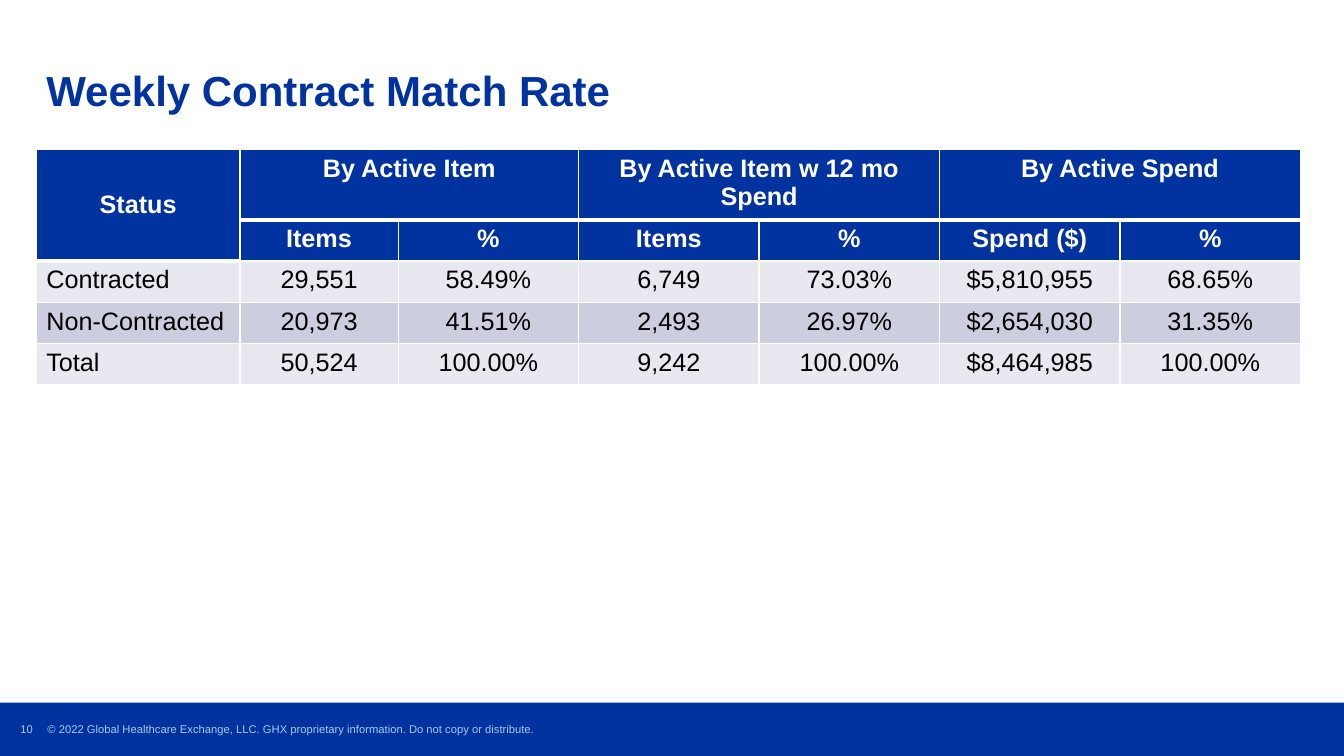
from lxml import etree
from pptx import Presentation
from pptx.dml.color import RGBColor
from pptx.enum.shapes import MSO_SHAPE
from pptx.enum.text import MSO_ANCHOR, PP_ALIGN
from pptx.oxml.ns import qn
from pptx.util import Pt

LEFT, CENTER = PP_ALIGN.LEFT, PP_ALIGN.CENTER
TOP, MIDDLE, BOTTOM = MSO_ANCHOR.TOP, MSO_ANCHOR.MIDDLE, MSO_ANCHOR.BOTTOM
RECT = MSO_SHAPE.RECTANGLE

PX = 9144  # 100 px to the inch
FONT = "Arial"
BLUE, PALE_BLUE, WHITE, BLACK = "0032A0", "ABCAE9", "FFFFFF", "000000"
BANDS = ["E7E8F0", "CCCEDF"]

COLUMN_WIDTHS = [202, 157] + [179] * 5
ROW_HEIGHT = 41
HEADER_ROWS = 2
ROWS = [
    ["Status", "By Active Item", "", "By Active Item w 12 mo Spend", "", "By Active Spend", ""],
    ["", "Items", "%", "Items", "%", "Spend ($)", "%"],
    ["Contracted", "29,551", "58.49%", "6,749", "73.03%", "$5,810,955", "68.65%"],
    ["Non-Contracted", "20,973", "41.51%", "2,493", "26.97%", "$2,654,030", "31.35%"],
    ["Total", "50,524", "100.00%", "9,242", "100.00%", "$8,464,985", "100.00%"],
]


def px(*lengths):
    return [length * PX for length in lengths]


def rgb(color):
    return RGBColor.from_string(color)


def write(tf, text, size, color, bold=False, align=LEFT):
    tf.text = text
    p = tf.paragraphs[0]
    p.alignment = align
    for r in p.runs:
        r.font.name = FONT
        r.font.size = Pt(size)
        r.font.bold = bold
        r.font.color.rgb = rgb(color)
    return p


def add_title(s, text):
    title = s.shapes.title
    title.left, title.top, title.width, title.height = px(36, 20, 1256, 100)
    tf = title.text_frame
    tf.vertical_anchor = BOTTOM
    tf.word_wrap = True
    write(tf, text, 30, BLUE, bold=True).line_spacing = 0.9


def add_footer_band(s):
    band = s.shapes.add_shape(RECT, *px(0, 697, 1333, 53))
    band.shadow.inherit = False
    band.fill.solid()
    band.fill.fore_color.rgb = rgb(BLUE)
    band.line.fill.background()


def add_footer_text(s, box, text, align=LEFT):
    tf = s.shapes.add_textbox(*px(*box)).text_frame
    tf.word_wrap = True
    tf.vertical_anchor = MIDDLE
    tf.margin_left = tf.margin_right = tf.margin_top = tf.margin_bottom = 0
    write(tf, text, 8, PALE_BLUE, align=align)


def set_borders(cell, bottom):
    """Draw white borders, 1 pt but for the bottom; call before filling the cell."""
    tcPr = cell._tc.get_or_add_tcPr()
    for side, width in (("L", 1), ("R", 1), ("T", 1), ("B", bottom)):
        ln = etree.SubElement(tcPr, qn(f"a:ln{side}"), w=str(Pt(width)))
        fill = etree.SubElement(ln, qn("a:solidFill"))
        etree.SubElement(fill, qn("a:srgbClr"), val=WHITE)


def format_cell(cell, text, row, col):
    header = row < HEADER_ROWS
    set_borders(cell, 3 if row == 0 else 1)
    cell.fill.solid()
    cell.fill.fore_color.rgb = rgb(BLUE if header else BANDS[row % 2])
    cell.vertical_anchor = MIDDLE if header and col == 0 else TOP
    write(cell.text_frame, text, 18, WHITE if header else BLACK, header,
          CENTER if header or col else LEFT)


def add_match_table(s):
    size = sum(COLUMN_WIDTHS), ROW_HEIGHT * len(ROWS)
    table = s.shapes.add_table(len(ROWS), len(COLUMN_WIDTHS), *px(36, 148, *size)).table
    for column, width in zip(table.columns, px(*COLUMN_WIDTHS)):
        column.width = width
    for row, texts in enumerate(ROWS):
        for col, text in enumerate(texts):
            format_cell(table.cell(row, col), text, row, col)
    table.cell(0, 0).merge(table.cell(1, 0))
    for col in (1, 3, 5):
        table.cell(0, col).merge(table.cell(0, col + 1))


def main():
    prs = Presentation()
    prs.slide_width, prs.slide_height = px(1333, 750)
    s = prs.slides.add_slide(prs.slide_layouts[5])
    add_footer_band(s)
    add_footer_text(s, (8, 714, 37, 18), "10", CENTER)
    add_match_table(s)
    add_title(s, "Weekly Contract Match Rate")
    add_footer_text(s, (47, 703, 748, 40),
                    "© 2022 Global Healthcare Exchange, LLC. GHX proprietary information. "
                    "Do not copy or distribute.")
    prs.save("out.pptx")


if __name__ == "__main__":
    main()
